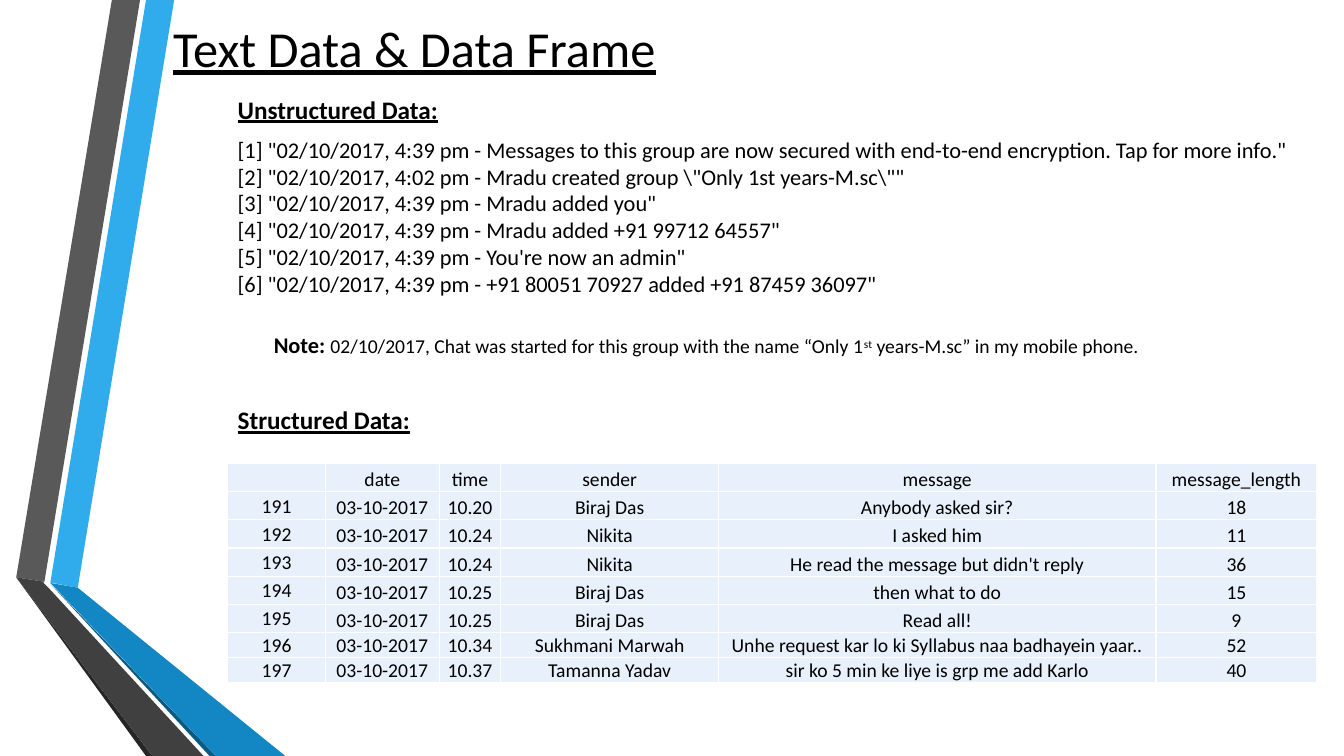
import pptx
import pptx.util
import pptx.dml.color
import pptx.enum.text
import lxml.etree

Cm = pptx.util.Cm
Pt = pptx.util.Pt
RGB = pptx.dml.color.RGBColor.from_string
ANCHOR = pptx.enum.text.MSO_ANCHOR
ALIGN = pptx.enum.text.PP_ALIGN
A = "http://schemas.openxmlformats.org/drawingml/2006/main"

THEME = {
    "font": "Calibri", "text": "000000", "cell": "E8F1FB", "border": "FFFFFF",
    "blue": "30ACEC", "gray": "595959", "gray_edge": "262626",
    "blue_edge": "0C5A82", "blue_fold": "1287C3", "gray_fold": "404040",
    "title": 36, "heading": 18, "body": 16, "small": 14,
}


def add_run(p, text, size="body", bold=False, underline=False, baseline=None):
    r = p.add_run()
    r.text = text
    r.font.name = THEME["font"]
    r.font.size = Pt(THEME[size])
    r.font.color.rgb = RGB(THEME["text"])
    r.font.bold = bold
    r.font.underline = underline
    if baseline:
        r.font._element.set("baseline", str(baseline))


def add_box(left, top, width, height, anchor=ANCHOR.TOP):
    sp = s.shapes.add_textbox(Cm(left), Cm(top), Cm(width), Cm(height))
    tf = sp.text_frame
    tf.word_wrap = True
    tf.vertical_anchor = anchor
    return tf


prs = pptx.Presentation()
prs.slide_width = Cm(33.87)
prs.slide_height = Cm(19.05)
s = prs.slides.add_slide(prs.slide_layouts[5])

ribbons = [
    ("blue", [(1.27, 14.68), (1.96, 14.81), (4.39, 0), (3.68, 0)]),
    ("gray", [(3.53, 0), (2.82, 0), (0.41, 14.55), (1.12, 14.66)]),
    ("gray_edge", [(0.41, 14.55), (3.68, 19.05), (3.84, 19.05)]),
    ("blue_edge", [(1.27, 14.71), (5.28, 19.05), (5.44, 19.05)]),
    ("blue_fold", [(1.27, 14.69), (5.44, 19.05), (7.19, 19.05), (1.96, 14.81)]),
    ("gray_fold", [(5.13, 19.05), (1.22, 14.81), (1.09, 14.68), (1.12, 14.66),
                   (0.41, 14.55), (3.84, 19.05)]),
]
for color, points in ribbons:
    start, *rest = [(Cm(x), Cm(y)) for x, y in points]
    builder = s.shapes.build_freeform(*start)
    builder.add_line_segments(rest, close=True)
    sp = builder.convert_to_shape()
    sp.shadow.inherit = False
    sp.fill.solid()
    sp.fill.fore_color.rgb = RGB(THEME[color])
    sp.line.fill.background()

title = s.shapes.title
title.left, title.top, title.width, title.height = Cm(4.11), Cm(0.25), Cm(27.84), Cm(1.9)
tf = title.text_frame
tf.auto_size = pptx.enum.text.MSO_AUTO_SIZE.NONE
tf.vertical_anchor = ANCHOR.MIDDLE
tf.paragraphs[0].alignment = ALIGN.LEFT
add_run(tf.paragraphs[0], "Text Data & Data Frame", size="title", underline=True)

headings = [
    ("Unstructured Data:", (5.74, 2.24, 8.03, 1.02), ANCHOR.TOP),
    ("Structured Data:", (5.74, 8.51, 8.84, 2.57), ANCHOR.BOTTOM),
]
for text, place, anchor in headings:
    tf = add_box(*place, anchor=anchor)
    add_run(tf.paragraphs[0], text, size="heading", bold=True, underline=True)

chat_lines = [
    '[1] "02/10/2017, 4:39 pm - Messages to this group are now secured with '
    'end-to-end encryption. Tap for more info."',
    '[2] "02/10/2017, 4:02 pm - Mradu created group \\"Only 1st years-M.sc\\""',
    '[3] "02/10/2017, 4:39 pm - Mradu added you"',
    '[4] "02/10/2017, 4:39 pm - Mradu added +91 99712 64557"',
    '[5] "02/10/2017, 4:39 pm - You\'re now an admin"',
    '[6] "02/10/2017, 4:39 pm - +91 80051 70927 added +91 87459 36097"',
]
tf = add_box(5.74, 3.3, 28.12, 4.37)
for i, line in enumerate(chat_lines):
    p = tf.add_paragraph() if i else tf.paragraphs[0]
    add_run(p, line)

rows = [
    ("", "date", "time", "sender", "message", "message_length"),
    ("191", "03-10-2017", "10.20", "Biraj Das", "Anybody asked sir?", "18"),
    ("192", "03-10-2017", "10.24", "Nikita", "I asked him", "11"),
    ("193", "03-10-2017", "10.24", "Nikita", "He read the message but didn't reply", "36"),
    ("194", "03-10-2017", "10.25", "Biraj Das", "then what to do", "15"),
    ("195", "03-10-2017", "10.25", "Biraj Das", "Read all!", "9"),
    ("196", "03-10-2017", "10.34", "Sukhmani Marwah",
     "Unhe request kar lo ki Syllabus naa badhayein yaar..", "52"),
    ("197", "03-10-2017", "10.37", "Tamanna Yadav",
     "sir ko 5 min ke liye is grp me add Karlo", "40"),
]
col_widths = [2.46, 2.87, 1.55, 5.49, 11.02, 4.06]
row_heights = [0.71] * 6 + [0.58] * 2
frame = s.shapes.add_table(len(rows), len(col_widths), Cm(5.74), Cm(11.68),
                           Cm(sum(col_widths)), Cm(sum(row_heights)))
table = frame.table
table.first_row = False
table.horz_banding = False
for col, width in zip(table.columns, col_widths):
    col.width = Cm(width)
for row, height, values in zip(table.rows, row_heights, rows):
    row.height = Cm(height)
    for i, (cell, value) in enumerate(zip(row.cells, values)):
        cell.margin_left = cell.margin_right = cell.margin_top = Cm(0.03)
        cell.margin_bottom = 0
        cell.vertical_anchor = ANCHOR.BOTTOM if i else ANCHOR.MIDDLE
        tcPr = cell._tc.get_or_add_tcPr()
        for side in ("lnL", "lnR", "lnT", "lnB"):
            ln = lxml.etree.SubElement(tcPr, f"{{{A}}}{side}", w=str(Pt(1)))
            fill = lxml.etree.SubElement(ln, f"{{{A}}}solidFill")
            lxml.etree.SubElement(fill, f"{{{A}}}srgbClr", val=THEME["border"])
        cell.fill.solid()
        cell.fill.fore_color.rgb = RGB(THEME["cell"])
        p = cell.text_frame.paragraphs[0]
        p.alignment = ALIGN.CENTER
        if value:
            add_run(p, value, size="small")
        else:
            end = lxml.etree.SubElement(p._p, f"{{{A}}}endParaRPr")
            end.set("sz", str(THEME["small"] * 100))

p = add_box(6.65, 8.23, 25.68, 0.94).paragraphs[0]
add_run(p, "Note: ", bold=True)
add_run(p, "02/10/2017, Chat was started for this group with the name “Only 1", size="small")
add_run(p, "st", size="small", baseline=30000)
add_run(p, " years-M.sc” in my mobile phone.", size="small")

prs.save("out.pptx")
